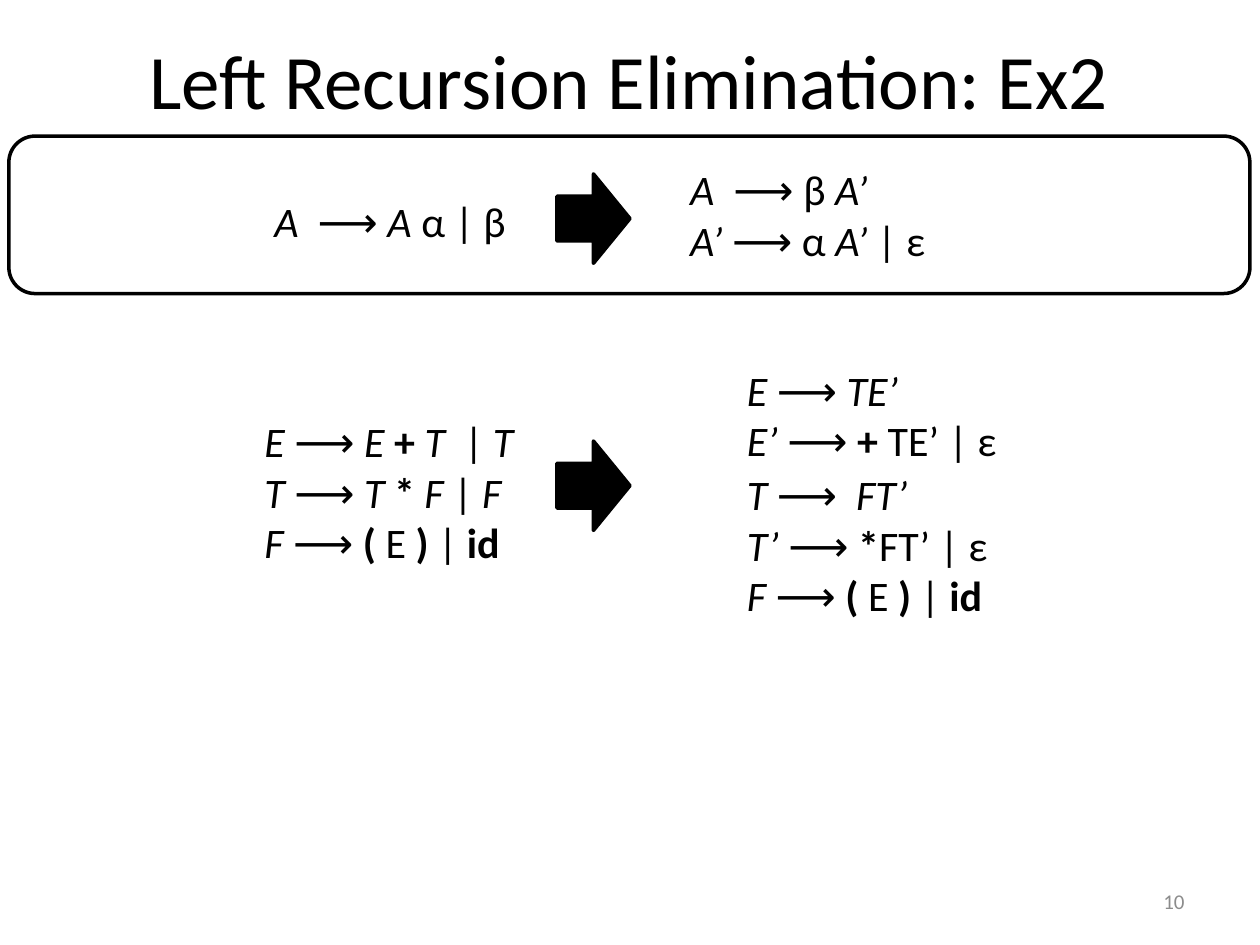
import pptx
import pptx.util
import pptx.dml.color
import pptx.enum.shapes
import pptx.enum.text

Inches = pptx.util.Inches
Align = pptx.enum.text.PP_ALIGN
Anchor = pptx.enum.text.MSO_ANCHOR
Fit = pptx.enum.text.MSO_AUTO_SIZE
Kind = pptx.enum.shapes.MSO_SHAPE


def color(code):
    """Turn a hex string into a colour."""
    return pptx.dml.color.RGBColor.from_string(code)


def add_runs(para, line, size, ink):
    """Add the runs of a line, where _ toggles italic and # toggles bold."""
    slant = bold = False
    for part in line.replace("_", "\n_\n").replace("#", "\n#\n").split("\n"):
        if part == "_":
            slant = not slant
        elif part == "#":
            bold = not bold
        elif part:
            run = para.add_run()
            run.text = part
            font = run.font
            font.name, font.size = "Calibri", pptx.util.Pt(size)
            font.italic, font.bold = slant, bold
            font.color.rgb = color(ink)


def add_text(slide, box, text, size=24, ink="000000", align=Align.LEFT,
             anchor=Anchor.TOP, fit=Fit.SHAPE_TO_FIT_TEXT):
    """Add a text box with one paragraph per line of text."""
    frame = slide.shapes.add_textbox(*map(Inches, box)).text_frame
    frame.word_wrap, frame.auto_size = True, fit
    frame.vertical_anchor = anchor
    for i, line in enumerate(text.split("\n")):
        para = frame.paragraphs[0] if i == 0 else frame.add_paragraph()
        para.alignment = align
        add_runs(para, line, size, ink)


def add_shape(slide, kind, box, fill):
    """Add a filled shape with a black outline."""
    shape = slide.shapes.add_shape(kind, *map(Inches, box))
    shape.shadow.inherit = False
    shape.fill.solid()
    shape.fill.fore_color.rgb = color(fill)
    shape.line.color.rgb = color("000000")
    shape.line.width = pptx.util.Pt(2)


def main():
    """Build the slide and save it."""
    deck = pptx.Presentation()
    deck.slide_width, deck.slide_height = Inches(10), Inches(7.5)
    slide = deck.slides.add_slide(deck.slide_layouts[6])

    add_shape(slide, Kind.ROUNDED_RECTANGLE, (0.07, 1.08, 9.85, 1.25), "FFFFFF")
    add_text(slide, (0.33, 0, 9.33, 1.25), "Left Recursion Elimination: Ex2",
             size=44, align=Align.CENTER, anchor=Anchor.MIDDLE, fit=Fit.NONE)
    add_text(slide, (7.17, 6.95, 2.33, 0.4), "10", size=12, ink="8C8C8C",
             align=Align.RIGHT, anchor=Anchor.MIDDLE, fit=Fit.NONE)
    for top in (1.38, 3.5):
        add_shape(slide, Kind.RIGHT_ARROW, (4.42, top, 0.58, 0.71), "000000")

    factor = "_F _⟶ #(# E #)# | #id#"
    rules = [
        ((2.08, 1.5, 2.04, 0.5), "_A_  ⟶ _A _α | β"),
        ((5.38, 1.25, 2.37, 0.91), "_A_  ⟶ β _A’_\n_A’ _⟶ α _A’ _| ε"),
        ((2, 3.25, 2.42, 1.31),
         "_E_ ⟶ _E _#+#_ T  _|_ T_\n_T _⟶ _T _#* #_F_ | _F_\n" + factor),
        ((5.83, 2.84, 2.42, 0.91), "_E_ ⟶ _TE’_\n_E’ _⟶ #+# TE’ | ε"),
        ((5.83, 3.67, 2.67, 1.31),
         "_T _⟶  _FT’_\n_T’ _⟶ #*#FT’ | ε\n" + factor),
    ]
    for box, text in rules:
        add_text(slide, box, text)
    deck.save("out.pptx")


main()
